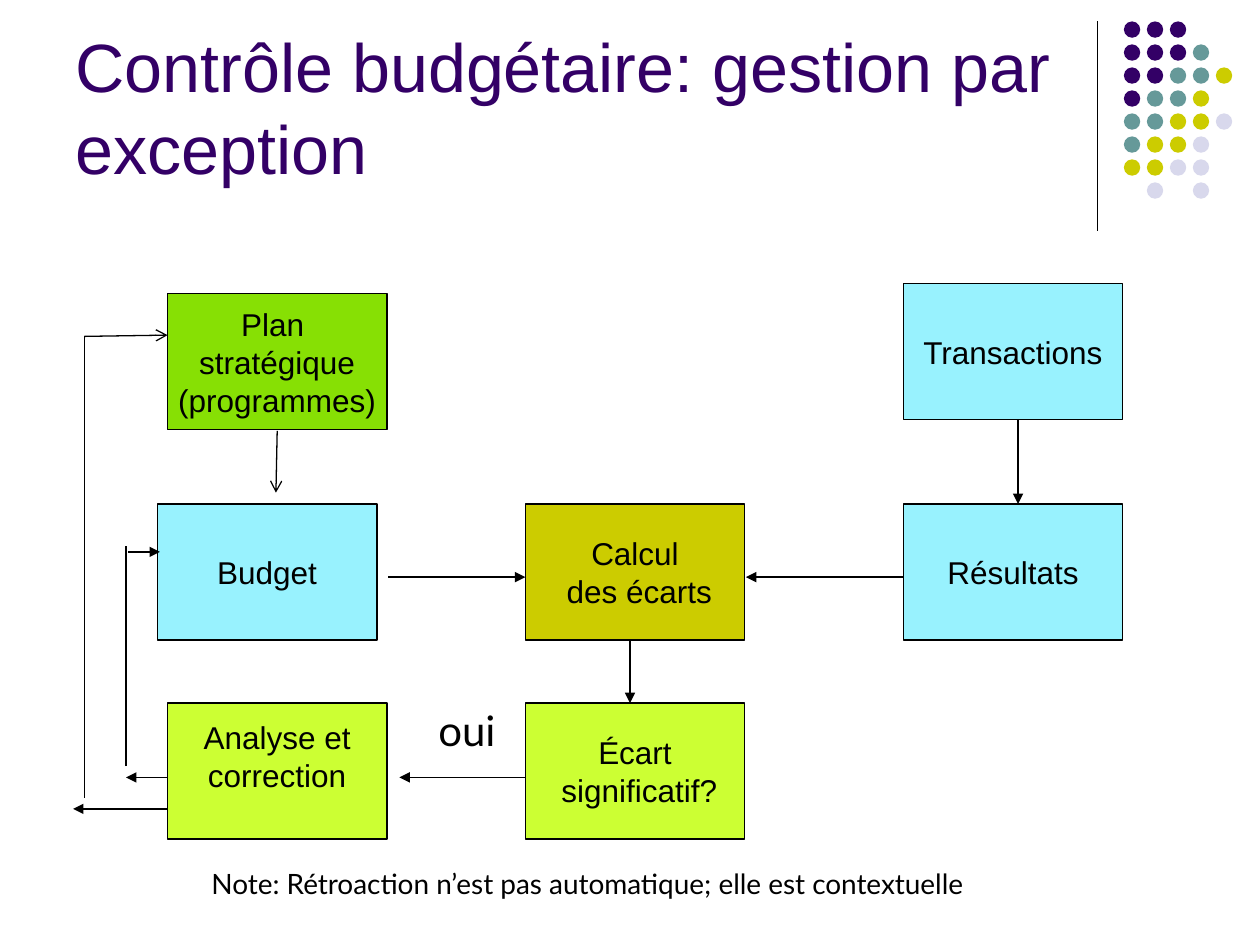
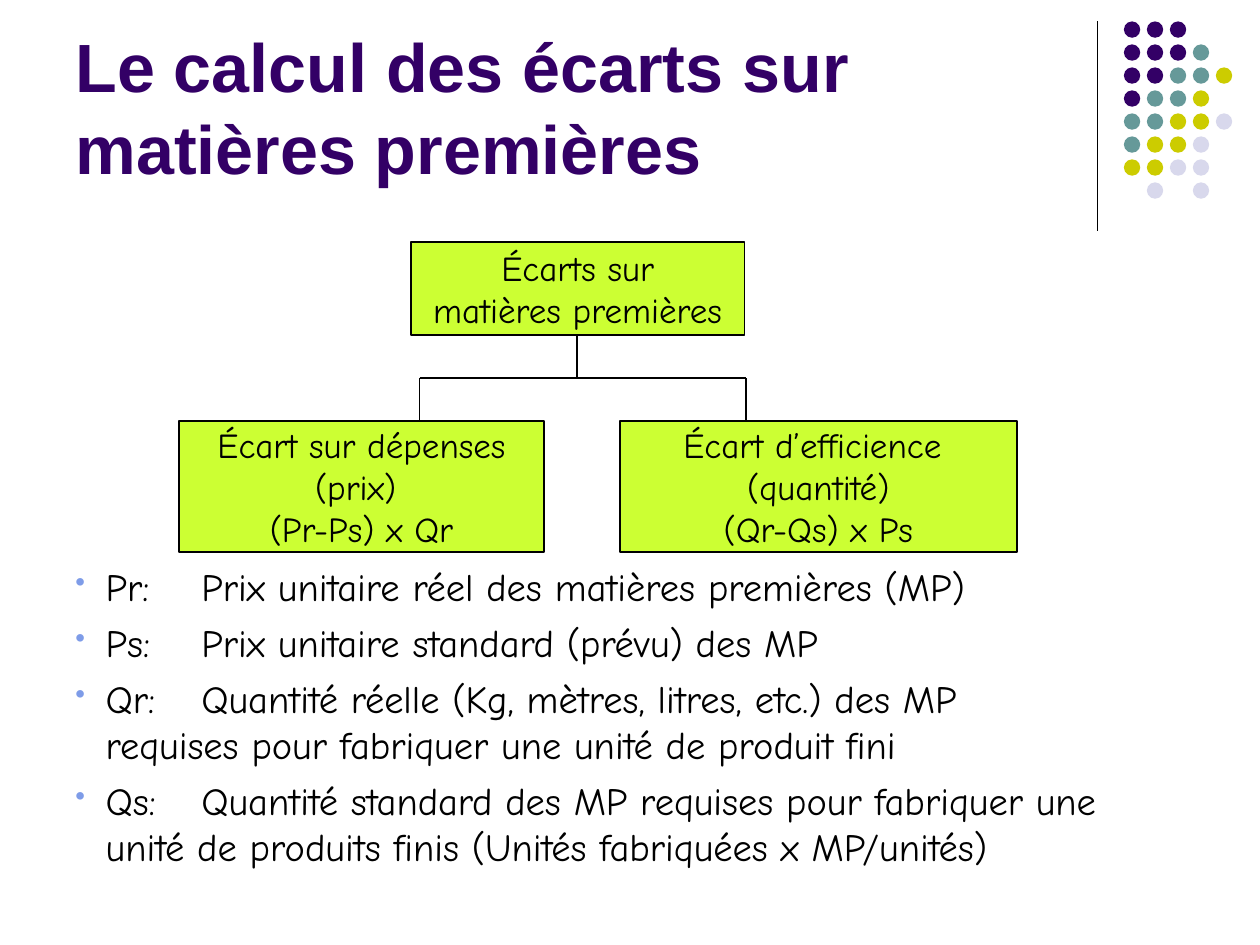
from lxml import etree
from pptx import Presentation
from pptx.dml.color import RGBColor
from pptx.enum import shapes, text
from pptx.oxml import ns
from pptx.util import Inches, Pt

BLACK = RGBColor(0x00, 0x00, 0x00)
PURPLE = RGBColor(0x33, 0x00, 0x66)
TEAL = RGBColor(0x66, 0x99, 0x99)
OLIVE = RGBColor(0xCC, 0xCC, 0x00)
LAVENDER = RGBColor(0xD8, 0xD8, 0xEC)
GREEN = RGBColor(0x87, 0xE0, 0x04)
CYAN = RGBColor(0x98, 0xF2, 0xFE)
LIME = RGBColor(0xCC, 0xFF, 0x33)
BULLET_BLUE = "7E9CE8"

SANS, HAND, NOTE = "Arial", "Comic Neue", "Lato"
DOT_ROWS = ["PPP", "PPPT", "PPTTY", "PTTY", "TTYYL", "TYYL", "YYLL", " L L"]
DOT_COLOURS = {"P": PURPLE, "T": TEAL, "Y": OLIVE, "L": LAVENDER}
DOT_SIZE = 0.13
DOT_PITCH = 0.73 / 4
FLOW_BOX = (1.74, 1.08)


def add_element(parent, tag, **attributes):
    """Append a DrawingML element and return it."""
    return etree.SubElement(parent, ns.qn(tag), attributes)


def style_paragraph(paragraph, font_name, size, colour=BLACK, bold=False):
    """Set the font of a whole paragraph."""
    font = paragraph.font
    font.name, font.size, font.bold = font_name, Pt(size), bold
    font.color.rgb = colour


def add_text(slide, words, place, font_name, size, colour=BLACK, bold=False, wrap=True):
    """Add a text box and return its frame."""
    frame = slide.shapes.add_textbox(*map(Inches, place)).text_frame
    frame.word_wrap = wrap
    frame.text = words
    for paragraph in frame.paragraphs:
        style_paragraph(paragraph, font_name, size, colour, bold)
    return frame


def add_shape(slide, kind, place, fill):
    """Add a flat filled shape without outline."""
    shape = slide.shapes.add_shape(kind, *map(Inches, place))
    shape.shadow.inherit = False
    shape.fill.solid()
    shape.fill.fore_color.rgb = fill
    shape.line.fill.background()
    return shape


def add_box(slide, words, place, fill, font_name=SANS, size=18):
    """Add an outlined rectangle with centred lines of text."""
    box = add_shape(slide, shapes.MSO_SHAPE.RECTANGLE, place, fill)
    box.line.color.rgb = BLACK
    box.line.width = Pt(1)
    frame = box.text_frame
    frame.word_wrap = False
    frame.vertical_anchor = text.MSO_ANCHOR.MIDDLE
    frame.text = words
    for paragraph in frame.paragraphs:
        paragraph.alignment = text.PP_ALIGN.CENTER
        style_paragraph(paragraph, font_name, size)
    return frame


def add_line(slide, start, end, head=None, width=0.75):
    """Draw a straight black line, with an arrowhead at its end if named."""
    line = slide.shapes.add_connector(
        shapes.MSO_CONNECTOR.STRAIGHT, *map(Inches, (*start, *end)))
    line.line.color.rgb = BLACK
    line.line.width = Pt(width)
    properties = line._element.spPr
    if head:
        add_element(properties.find(ns.qn("a:ln")), "a:tailEnd", type=head)
    add_element(properties, "a:effectLst")


def add_dots(slide):
    """Draw the triangular field of coloured dots in the corner."""
    for row, letters in enumerate(DOT_ROWS):
        for column, letter in enumerate(letters):
            if letter in DOT_COLOURS:
                place = (8.92 + column * DOT_PITCH, 0.17 + row * DOT_PITCH, DOT_SIZE, DOT_SIZE)
                add_shape(slide, shapes.MSO_SHAPE.OVAL, place, DOT_COLOURS[letter])


def add_text_shadow(run):
    """Give a run a small grey shadow."""
    effects = add_element(run._r.get_or_add_rPr(), "a:effectLst")
    shadow = add_element(effects, "a:outerShdw", dist="35921", dir="2700000")
    add_element(shadow, "a:srgbClr", val="808080")


def add_base_slide(presentation, title, emphasised=False):
    """Add a slide with the rule, the dots and the title."""
    slide = presentation.slides.add_slide(presentation.slide_layouts[6])
    add_line(slide, (8.71, 0.17), (8.71, 1.83))
    add_dots(slide)
    frame = add_text(slide, title, (0.5, 0.13, 8.25, 1.42), SANS, 39, PURPLE, emphasised)
    frame.vertical_anchor = text.MSO_ANCHOR.MIDDLE
    if emphasised:
        add_text_shadow(frame.paragraphs[0].runs[0])
    return slide


def add_definitions(slide, definitions, place):
    """Add a bulleted list of symbols with tabbed definitions."""
    frame = slide.shapes.add_textbox(*map(Inches, place)).text_frame
    frame.word_wrap = True
    frame.text = "\n".join(definitions)
    for index, paragraph in enumerate(frame.paragraphs):
        properties = paragraph._p.get_or_add_pPr()
        properties.set("marL", str(Inches(0.24)))
        properties.set("indent", str(-Inches(0.24)))
        if index:
            paragraph.space_before = Pt(5.5)
        add_element(add_element(properties, "a:buClr"), "a:srgbClr", val=BULLET_BLUE)
        add_element(properties, "a:buSzPct", val="75000")
        add_element(properties, "a:buChar", char="•")
        tabs = add_element(properties, "a:tabLst")
        for stop in range(1, 9):
            add_element(tabs, "a:tab", pos=str(Inches(stop)), algn="l")
        style_paragraph(paragraph, HAND, 22)


def build_control_slide(presentation):
    """Build the flow chart of budgetary control."""
    slide = add_base_slide(presentation, "Contrôle budgétaire: gestion par exception")
    for words, corner, fill in [
        ("Plan \nstratégique\n(programmes)", (1.33, 2.33), GREEN),
        ("Budget", (1.25, 4), CYAN),
        ("Écart\n significatif?", (4.17, 5.58), LIME),
        ("Calcul\n des écarts", (4.17, 4), OLIVE),
        ("Résultats", (7.17, 4), CYAN),
        ("Transactions", (7.17, 2.25), CYAN),
    ]:
        add_box(slide, words, corner + FLOW_BOX, fill)
    analysis = add_box(slide, "Analyse et\ncorrection", (1.33, 5.58) + FLOW_BOX, LIME)
    analysis.vertical_anchor = text.MSO_ANCHOR.TOP
    analysis.margin_top = Inches(0.12)

    for start, end, head in [
        ((8.08, 3.33), (8.08, 4), "triangle"),
        ((7.17, 4.58), (5.92, 4.58), "triangle"),
        ((5, 5.08), (5, 5.58), "triangle"),
        ((4.17, 6.17), (3.17, 6.17), "triangle"),
        ((1.33, 6.17), (1, 6.17), "triangle"),
        ((1, 6.08), (1, 4.33), None),
        ((1.02, 4.38), (1.27, 4.38), "triangle"),
        ((3.08, 4.58), (4.17, 4.58), "triangle"),
        ((1.33, 6.42), (0.58, 6.42), "triangle"),
        ((0.67, 6.33), (0.67, 2.67), None),
        ((0.67, 2.67), (1.33, 2.66), "arrow"),
        ((2.2, 3.42), (2.19, 3.91), "arrow"),
    ]:
        add_line(slide, start, end, head)
    add_text(slide, "oui", (3.38, 5.54, 0.69, 0.5), NOTE, 24, wrap=False)
    add_text(slide, "Note: Rétroaction n’est pas automatique; elle est contextuelle",
             (1.58, 6.83, 6.25, 0.64), NOTE, 16)


def build_variance_slide(presentation):
    """Build the tree of raw material variances and its legend."""
    slide = add_base_slide(presentation, "Le calcul des écarts sur matières premières", True)
    for words, place in [
        ("Écart sur dépenses\n(prix) \n(Pr-Ps) x Qr", (1.42, 3.34, 2.9, 1.04)),
        ("Écarts sur\nmatières premières", (3.26, 1.92, 2.65, 0.74)),
        ("Écart d’efficience \n(quantité)\n(Qr-Qs) x Ps", (4.92, 3.34, 3.15, 1.04)),
    ]:
        add_box(slide, words, place, LIME, HAND, 20)
    left, right, branch = 3.33, 5.92, 3
    add_line(slide, (4.58, 2.67), (4.58, branch), width=1)
    add_line(slide, (left, branch), (right, branch), width=1)
    for x in (left, right):
        add_line(slide, (x, branch), (x, 3.33), width=1)
    add_definitions(slide, [
        "Pr: \tPrix unitaire réel des matières premières (MP)",
        "Ps: \tPrix unitaire standard (prévu) des MP",
        "Qr:\tQuantité réelle (Kg, mètres, litres, etc.) des MP "
        "\trequises pour fabriquer une unité de produit fini",
        "Qs:\tQuantité standard des MP requises pour fabriquer une "
        "\tunité de produits finis (Unités fabriquées x MP/unités)",
    ], (0.5, 4.42, 9.25, 2.53))


def main():
    """Build and save the presentation."""
    presentation = Presentation()
    presentation.slide_width = Inches(10)
    presentation.slide_height = Inches(7.5)
    build_control_slide(presentation)
    build_variance_slide(presentation)
    presentation.save("out.pptx")


if __name__ == "__main__":
    main()
